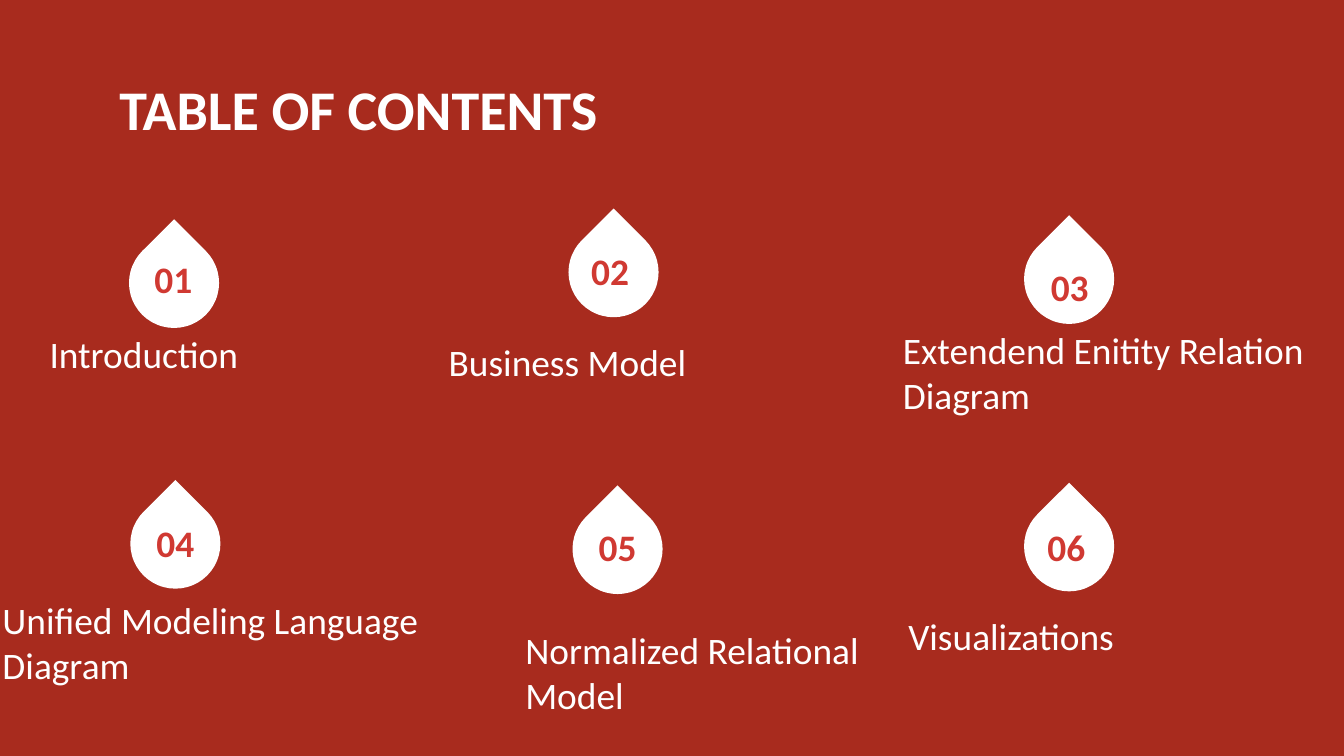
from pptx import Presentation
from pptx.dml.color import RGBColor
from pptx.enum.shapes import MSO_SHAPE
from pptx.enum.text import MSO_ANCHOR, PP_ALIGN
from pptx.util import Inches, Pt

# Content
TITLE = ("TABLE OF CONTENTS", (0.79, 0.49, 8.43, 0.63))

# number, drop (left, top), number box (left, top, width),
# label, label box (left, top, width)
ITEMS = [
    ("01", (0.96, 1.77), (0.94, 1.75, 0.7), "Introduction", (0.27, 2.34, 2.42)),
    ("02", (4.23, 1.69), (4.19, 1.69, 0.7), "Business Model", (3.24, 2.4, 3.13)),
    ("03", (7.62, 1.74), (7.61, 1.81, 0.7),
     "Extendend Enitity Relation Diagram", (6.62, 2.48, 3.43)),
    ("04", (0.97, 3.71), (0.83, 3.71, 0.95),
     "Unified Modeling Language Diagram", (-0.08, 4.49, 4.17)),
    ("05", (4.26, 3.75), (4.12, 3.74, 0.95),
     "Normalized Relational Model", (3.81, 4.71, 2.89)),
    ("06", (7.62, 3.73), (7.46, 3.74, 0.95), "Visualizations", (6.66, 4.44, 4.17)),
]

BACKGROUND, WHITE, RED = "A82B1E", "FFFFFF", "D03932"
DROP_SIZE, NUMBER_HEIGHT, LABEL_HEIGHT = 0.67, 0.65, 0.58


def color(value):
    return RGBColor.from_string(value)


def add_text(s, text, box, size=20, fill=WHITE, bold=False, align=PP_ALIGN.LEFT):
    tf = s.shapes.add_textbox(*map(Inches, box)).text_frame
    tf.word_wrap = True
    tf.vertical_anchor = MSO_ANCHOR.MIDDLE
    tf.margin_left = tf.margin_right = Inches(0.1)
    tf.margin_top = tf.margin_bottom = Inches(0.1)
    tf.text = text
    p = tf.paragraphs[0]
    p.alignment = align
    font = p.runs[0].font
    font.name, font.size, font.bold = "Calibri", Pt(size), bold
    font.color.rgb = color(fill)


def add_drop(s, left, top):
    sp = s.shapes.add_shape(MSO_SHAPE.TEAR, Inches(left), Inches(top),
                            Inches(DROP_SIZE), Inches(DROP_SIZE))
    sp.rotation = 315
    sp.shadow.inherit = False
    sp.fill.solid()
    sp.fill.fore_color.rgb = color(WHITE)
    sp.line.fill.background()


# Widescreen 16:9 slide
prs = Presentation()
prs.slide_width = Inches(10)
prs.slide_height = Inches(10 * 9 / 16)
s = prs.slides.add_slide(prs.slide_layouts[6])
s.background.fill.solid()
s.background.fill.fore_color.rgb = color(BACKGROUND)

# Heading
add_text(s, *TITLE, size=30, bold=True)

# Numbered drops with their labels
for number, drop, number_box, label, label_box in ITEMS:
    add_drop(s, *drop)
    add_text(s, number, (*number_box, NUMBER_HEIGHT), fill=RED, bold=True,
             align=PP_ALIGN.CENTER)
    add_text(s, label, (*label_box, LABEL_HEIGHT))

prs.save("out.pptx")
